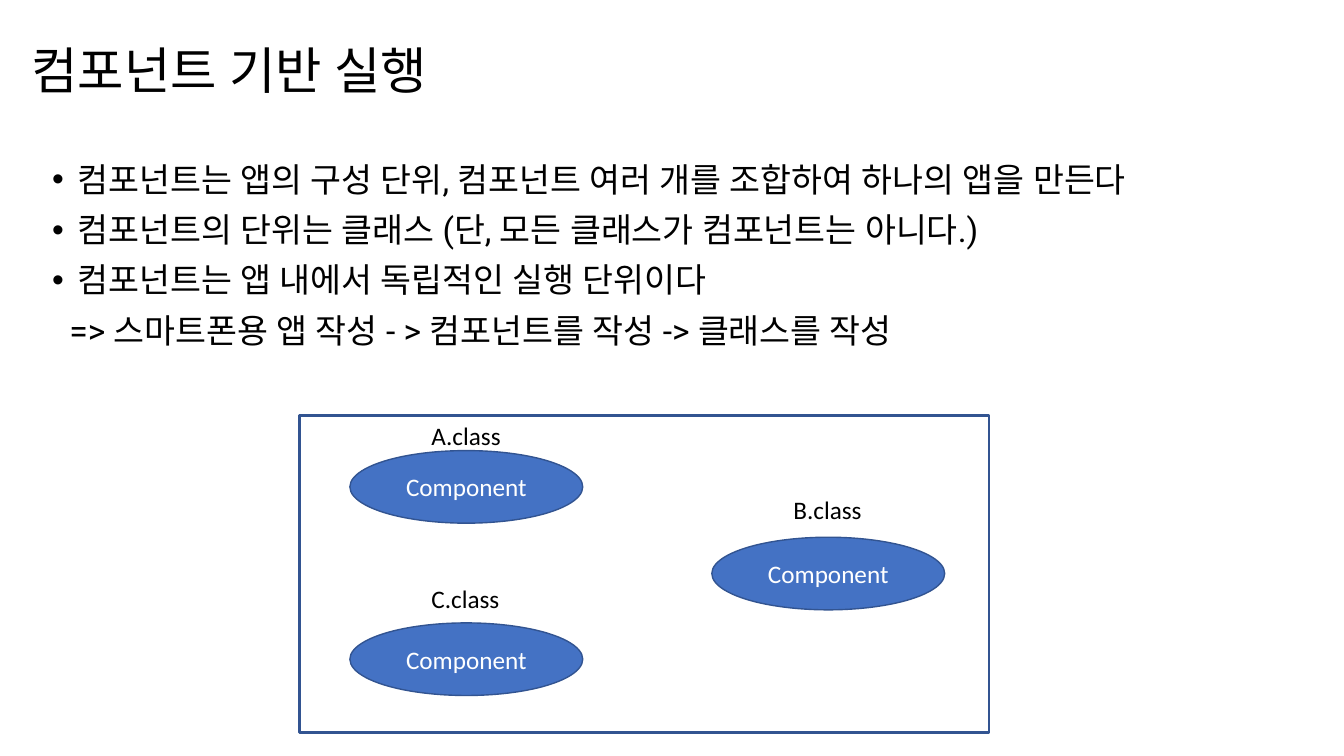
from lxml.etree import SubElement
from pptx import Presentation
from pptx.dml.color import RGBColor
from pptx.enum.shapes import MSO_SHAPE as Shape
from pptx.enum.text import MSO_ANCHOR as Anchor, MSO_AUTO_SIZE as AutoSize, PP_ALIGN as Align
from pptx.oxml.ns import qn
from pptx.util import Pt

PX = 9144  # 100 px to the inch
BLACK = RGBColor(0x00, 0x00, 0x00)
WHITE = RGBColor(0xFF, 0xFF, 0xFF)
BLUE = RGBColor(0x44, 0x72, 0xC4)
NAVY = RGBColor(0x32, 0x54, 0x91)

TITLE_FONT = {"name": "Roboto", "size": Pt(36)}
BODY_FONT = {"name": "Roboto", "size": Pt(24)}
LABEL_FONT = {"name": "Calibri", "size": Pt(18)}

TITLE = "컴포넌트 기반 실행"
BULLETS = [
    "컴포넌트는 앱의 구성 단위, 컴포넌트 여러 개를 조합하여 하나의 앱을 만든다",
    "컴포넌트의 단위는 클래스 (단, 모든 클래스가 컴포넌트는 아니다.)",
    "컴포넌트는 앱 내에서 독립적인 실행 단위이다",
]
CONCLUSION = "=> 스마트폰용 앱 작성 - > 컴포넌트를 작성 -> 클래스를 작성"

# Class name, left and top of its ellipse in the frame, rise of its label
COMPONENTS = [
    ("A.class", 50, 35, 35),
    ("B.class", 409, 121, 48),
    ("C.class", 50, 206, 44),
]


def px(*lengths):
    return [length * PX for length in lengths]


def apply(target, values):
    for name, value in values.items():
        setattr(target, name, value)


def write(para, text, font, color):
    span = para.add_run()
    span.text = text
    apply(span.font, font)
    span.font.color.rgb = color
    # Korean text takes its font from the East Asian typeface
    SubElement(span._r.get_or_add_rPr(), qn("a:ea")).set("typeface", font["name"])


def add_title(page, box):
    title = page.shapes.title
    apply(title, dict(zip(("left", "top", "width", "height"), px(*box))))
    apply(title.text_frame, {"vertical_anchor": Anchor.MIDDLE, "word_wrap": True,
                             "auto_size": AutoSize.NONE})
    para = title.text_frame.paragraphs[0]
    apply(para, {"alignment": Align.LEFT, "line_spacing": 0.9})
    write(para, TITLE, TITLE_FONT, BLACK)


def set_indent(para, margin, indent, bullet=None):
    props = para._p.get_or_add_pPr()
    props.set("marL", str(margin * PX))
    props.set("indent", str(indent * PX))
    if bullet:
        SubElement(props, qn("a:buFont")).set("typeface", "Arial")
        SubElement(props, qn("a:buChar")).set("char", bullet)


def add_body(page, box):
    frame = page.shapes.add_textbox(*px(*box)).text_frame
    frame.word_wrap = True
    for number, text in enumerate(BULLETS + [CONCLUSION]):
        para = frame.add_paragraph() if number else frame.paragraphs[0]
        apply(para, {"line_spacing": 0.9, "space_before": Pt(10)})
        if text == CONCLUSION:
            set_indent(para, 17, 0)
        else:
            set_indent(para, 25, -25, "•")
        write(para, text, BODY_FONT, BLACK)


def add_outlined(group, kind, box, line_width):
    shape = group.shapes.add_shape(kind, *px(*box))
    shape.shadow.inherit = False
    shape.line.color.rgb = NAVY
    shape.line.width = Pt(line_width)
    return shape


def add_component(group, name, left, top, rise):
    ellipse = add_outlined(group, Shape.OVAL, (left, top, 231, 72), 1)
    ellipse.fill.solid()
    ellipse.fill.fore_color.rgb = BLUE
    ellipse.text_frame.vertical_anchor = Anchor.MIDDLE
    para = ellipse.text_frame.paragraphs[0]
    para.alignment = Align.CENTER
    write(para, "Component", LABEL_FONT, WHITE)

    label = group.shapes.add_textbox(*px(left + 71, top - rise, 89, 40))
    apply(label.text_frame, {"word_wrap": False, "auto_size": AutoSize.SHAPE_TO_FIT_TEXT})
    write(label.text_frame.paragraphs[0], name, LABEL_FONT, BLACK)


def add_app_diagram(page, box):
    left, top = box[:2]
    group = page.shapes.add_group_shape()
    add_outlined(group, Shape.RECTANGLE, box, 2).fill.background()
    for name, across, down, rise in COMPONENTS:
        add_component(group, name, left + across, top + down, rise)


def main():
    deck = Presentation()
    deck.slide_width, deck.slide_height = px(1333, 750)
    page = deck.slides.add_slide(deck.slide_layouts[5])
    add_title(page, (21, 0, 1150, 145))
    add_body(page, (42, 157, 1266, 476))
    add_app_diagram(page, (297, 412, 684, 315))
    deck.save("out.pptx")


if __name__ == "__main__":
    main()
